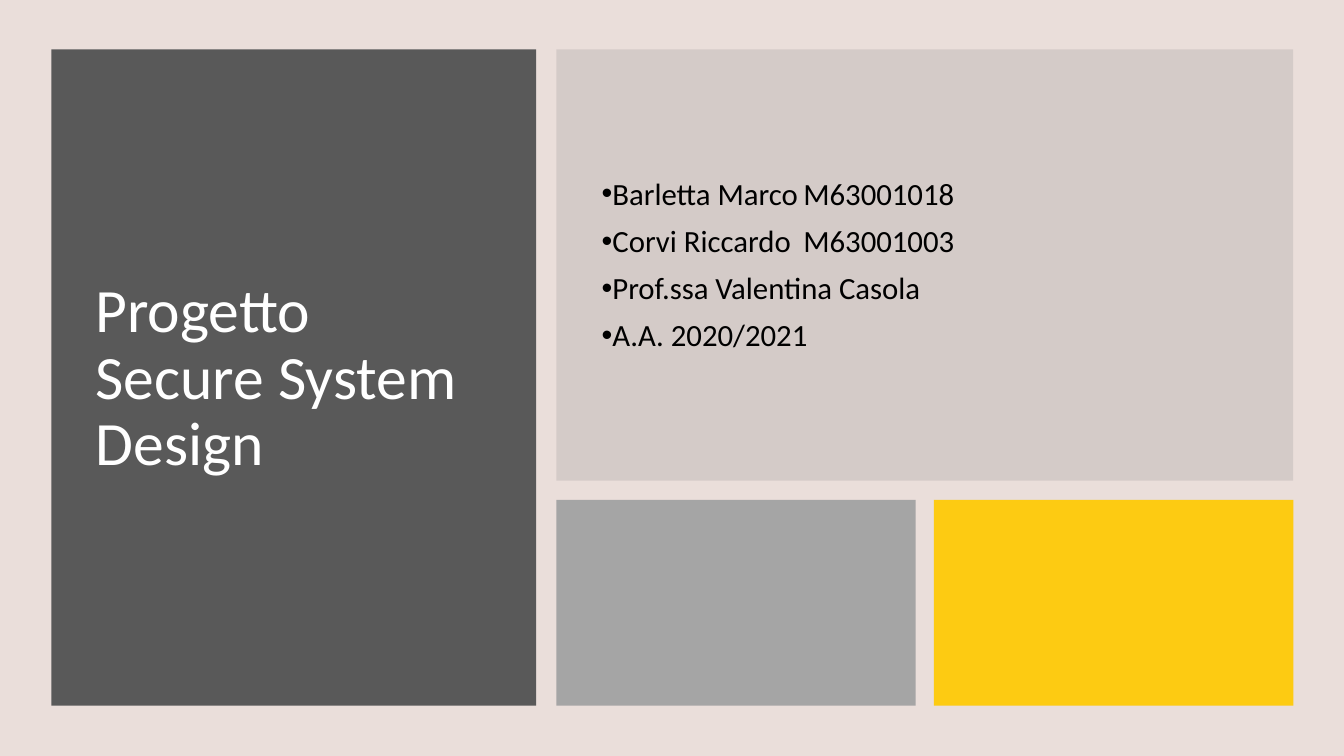
"""Build the opening slide of the Secure System Design project."""
from dataclasses import dataclass

from lxml.etree import SubElement
from pptx import Presentation
from pptx.dml.color import RGBColor
from pptx.enum.shapes import MSO_SHAPE
from pptx.enum.text import MSO_ANCHOR
from pptx.oxml.ns import qn
from pptx.util import Inches, Pt


@dataclass(frozen=True)
class Theme:
    """Colours, type sizes and spacing of the slide."""
    font: str = "Calibri"
    background: str = "EADEDA"
    title_panel: str = "595959"
    details_panel: str = "808080"
    grey_tile: str = "A5A5A5"
    yellow_tile: str = "FFCA08"
    title_text: str = "FFFFFF"
    details_text: str = "000000"
    title_size: int = 44
    details_size: int = 22
    line_spacing: float = 0.9
    space_before: int = 10


class SlideBuilder:
    """Place styled elements on a slide, with lengths in percent of its size."""

    def __init__(self, deck, theme):
        """Add a blank page with the theme's background."""
        self.deck = deck
        self.theme = theme
        self.page = deck.slides.add_slide(deck.slide_layouts[6])
        self.paint(self.page.background.fill, theme.background)

    def paint(self, fill, color):
        """Make a fill solid in the given colour."""
        fill.solid()
        fill.fore_color.rgb = RGBColor.from_string(color)

    def place(self, left, top, width, height):
        """Turn percentages into slide lengths."""
        across, down = self.deck.slide_width, self.deck.slide_height
        return [round(share * side / 100) for share, side in
                ((left, across), (top, down), (width, across), (height, down))]

    def panel(self, area, color, opacity=100):
        """Draw a borderless rectangle."""
        panel = self.page.shapes.add_shape(MSO_SHAPE.RECTANGLE, *self.place(*area))
        panel.shadow.inherit = False
        panel.line.fill.background()
        self.paint(panel.fill, color)
        if opacity < 100:
            shade = panel.fill._xPr.find(".//" + qn("a:srgbClr"))
            SubElement(shade, qn("a:alpha"), val=str(opacity * 1000))

    def text(self, area, lines, size, color, bullet=None):
        """Write vertically centred paragraphs, bulleted on request."""
        frame = self.page.shapes.add_textbox(*self.place(*area)).text_frame
        frame.word_wrap = True
        frame.vertical_anchor = MSO_ANCHOR.MIDDLE
        for index, line in enumerate(lines):
            para = frame.add_paragraph() if index else frame.paragraphs[0]
            para.line_spacing = self.theme.line_spacing
            if bullet:
                para.space_before = Pt(self.theme.space_before)
                self.bullet(para, bullet)
            span = para.add_run()
            span.text = line
            span.font.name = self.theme.font
            span.font.size = Pt(size)
            span.font.color.rgb = RGBColor.from_string(color)

    def bullet(self, para, mark):
        """Give a paragraph a hanging bullet."""
        properties = para._p.get_or_add_pPr()
        properties.set("marL", "0")
        properties.set("indent", str(-Inches(0.25)))
        SubElement(properties, qn("a:buFont"), typeface="Arial")
        SubElement(properties, qn("a:buChar"), char=mark)


def build():
    """Compose the panels and text, then save the deck."""
    deck = Presentation()
    deck.slide_width, deck.slide_height = Inches(13.33), Inches(7.5)
    theme = Theme()
    slide = SlideBuilder(deck, theme)

    left, top, height = 3.82, 6.53, 86.8
    title_width, details_width = 36.08, 54.83
    details_height, column_gap, row_gap, tile_gap = 57.07, 1.5, 2.53, 1.35
    details_left = left + title_width + column_gap
    tile_top = top + details_height + row_gap
    tile_height = height - details_height - row_gap
    tile_width = (details_width - tile_gap) / 2

    slide.panel((left, top, title_width, height), theme.title_panel)
    slide.text((6.38, 11.07, 30.83, 78.27), ["Progetto Secure System Design"],
               theme.title_size, theme.title_text)
    slide.panel((details_left, top, details_width, details_height),
                theme.details_panel, opacity=20)
    details = ["Barletta Marco\tM63001018", "Corvi Riccardo\tM63001003",
               "Prof.ssa Valentina Casola", "A.A. 2020/2021"]
    slide.text((44.03, 11.73, 49.65, 46.93), details,
               theme.details_size, theme.details_text, bullet="•")
    tiles = [(theme.grey_tile, 100), (theme.yellow_tile, 95)]
    for column, (color, opacity) in enumerate(tiles):
        tile_left = details_left + column * (tile_width + tile_gap)
        slide.panel((tile_left, tile_top, tile_width, tile_height), color, opacity)

    deck.save("out.pptx")


build()
